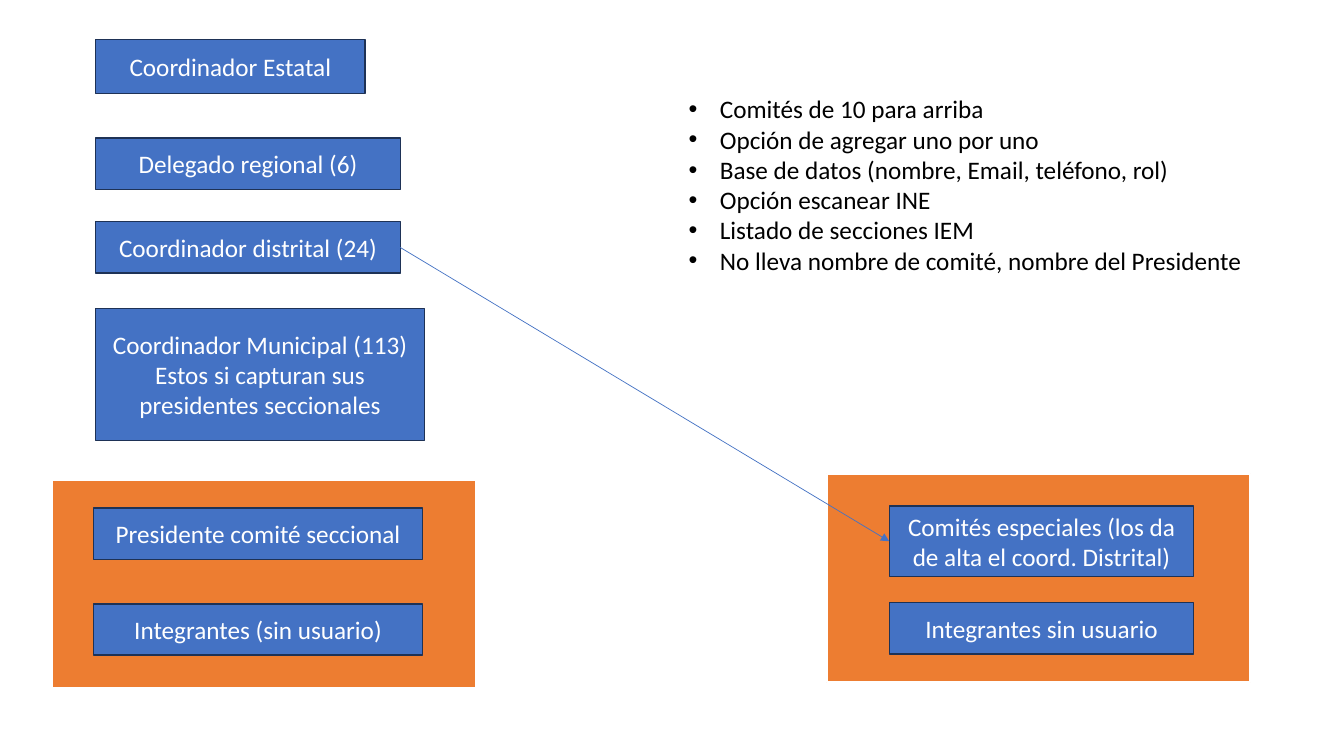
from lxml import etree
from pptx import Presentation
from pptx.dml.color import RGBColor
from pptx.enum.shapes import MSO_CONNECTOR, MSO_SHAPE
from pptx.enum.text import MSO_ANCHOR, PP_ALIGN
from pptx.oxml.ns import qn
from pptx.util import Pt

RECT = MSO_SHAPE.RECTANGLE
STRAIGHT = MSO_CONNECTOR.STRAIGHT
MIDDLE, TOP = MSO_ANCHOR.MIDDLE, MSO_ANCHOR.TOP
CENTER, LEFT = PP_ALIGN.CENTER, PP_ALIGN.LEFT
SCALE = 9144
BLUE, NAVY, ORANGE = "4472C4", "1E3256", "ED7D31"
WHITE, BLACK = "FFFFFF", "000000"

PANELS = [(820, 470), (52, 476)]
ROLES = [
    ("Coordinador Estatal", 95, 39, 267, 54),
    ("Delegado regional (6)", 95, 137, 302, 51),
    ("Coordinador distrital (24)", 95, 220, 302, 51),
    ("Coordinador Municipal (113)\nEstos si capturan sus presidentes seccionales",
     95, 306, 326, 131),
    ("Presidente comité seccional", 93, 504, 326, 51),
    ("Integrantes (sin usuario)", 93, 599, 326, 51),
    ("Comités especiales (los da de alta el coord. Distrital)",
     882, 502, 302, 70),
    ("Integrantes sin usuario", 882, 598, 302, 51),
]
NOTES = [
    "Comités de 10 para arriba",
    "Opción de agregar uno por uno",
    "Base de datos (nombre, Email, teléfono, rol)",
    "Opción escanear INE",
    "Listado de secciones IEM",
    "No lleva nombre de comité, nombre del Presidente",
]


def px(n):
    return n * SCALE


def color(code):
    return RGBColor.from_string(code)


def write(frame, text, ink, align, anchor):
    frame.text = text
    frame.word_wrap = True
    frame.vertical_anchor = anchor
    for para in frame.paragraphs:
        para.alignment = align
        para.space_before = Pt(0)
        para.font.name = "Calibri"
        para.font.size = Pt(18)
        para.font.color.rgb = color(ink)


def add_rect(slide, x, y, w, h, fill, edge, width):
    rect = slide.shapes.add_shape(RECT, px(x), px(y), px(w), px(h))
    rect.shadow.inherit = False
    rect.fill.solid()
    rect.fill.fore_color.rgb = color(fill)
    rect.line.color.rgb = color(edge)
    rect.line.width = Pt(width)
    return rect


def add_role(slide, text, x, y, w, h):
    box = add_rect(slide, x, y, w, h, BLUE, NAVY, 1)
    write(box.text_frame, text, WHITE, CENTER, MIDDLE)
    return box


def add_arrow(slide, start, end):
    arrow = slide.shapes.add_connector(STRAIGHT, 0, 0, 0, 0)
    arrow.begin_connect(start, 3)
    arrow.end_connect(end, 1)
    arrow.line.color.rgb = color(BLUE)
    arrow.line.width = Pt(0.5)
    etree.SubElement(arrow.line._get_or_add_ln(), qn("a:tailEnd"), type="triangle")
    etree.SubElement(arrow._element.spPr, qn("a:effectLst"))


def fill_list(body, items, x, y, w, h):
    body.left, body.top, body.width, body.height = map(px, (x, y, w, h))
    write(body.text_frame, "\n".join(items), BLACK, LEFT, TOP)
    for para in body.text_frame.paragraphs:
        props = para._p.get_or_add_pPr()
        props.set("marL", str(px(31)))
        props.set("indent", str(px(-31)))
        etree.SubElement(props, qn("a:buFont"), typeface="Arial")
        etree.SubElement(props, qn("a:buChar"), char="•")
        props.append(props.find(qn("a:defRPr")))


def main():
    deck = Presentation()
    deck.slide_width, deck.slide_height = px(1333), px(750)
    slide = deck.slides.add_slide(deck.slide_layouts[1])
    title = slide.shapes.title._element
    title.getparent().remove(title)
    fill_list(slide.placeholders[1], NOTES, 673, 88, 579, 222)
    for x, y in PANELS:
        add_rect(slide, x, y, 420, 207, ORANGE, WHITE, 1.5)
    boxes = [add_role(slide, *role) for role in ROLES]
    add_arrow(slide, boxes[2], boxes[6])
    deck.save("out.pptx")


if __name__ == "__main__":
    main()
